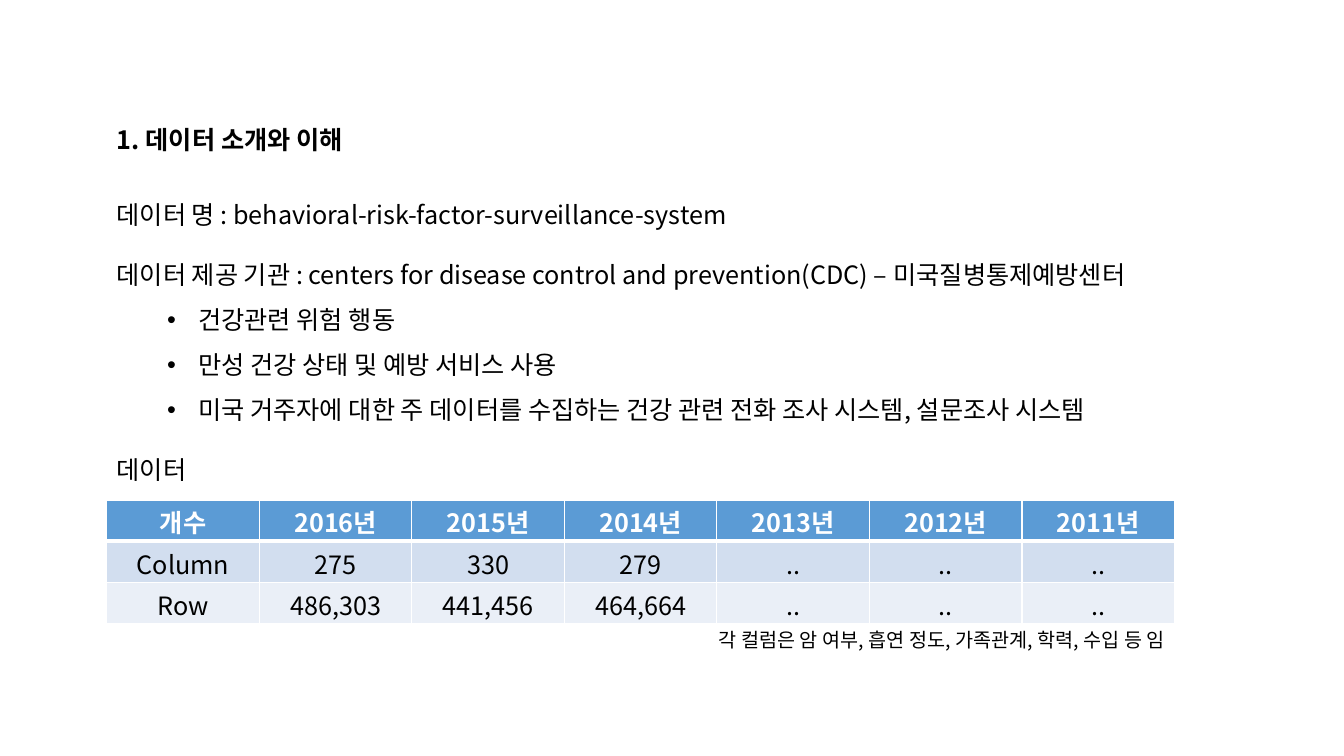
from lxml import etree
from pptx import Presentation
from pptx.dml.color import RGBColor
from pptx.enum.text import MSO_ANCHOR, MSO_AUTO_SIZE, PP_ALIGN
from pptx.oxml.ns import qn
from pptx.util import Inches, Pt

LEFT, CENTER, RIGHT = PP_ALIGN.LEFT, PP_ALIGN.CENTER, PP_ALIGN.RIGHT
TOP = MSO_ANCHOR.TOP
NO_AUTOFIT = MSO_AUTO_SIZE.NONE

FONT = "Noto Sans CJK KR"
BLACK, WHITE = "000000", "FFFFFF"
ROW_FILLS = ["5B9BD5", "D2DEEF", "EAEFF7"]
MARGIN_LEFT = 1.06
TABLE_WIDTH = 10.59
ROW_HEIGHT = 0.41
LINE_RATIO = 1.19

BODY = [
    ("데이터 명 : behavioral-risk-factor-surveillance-system", False),
    ("데이터 제공 기관 : centers for disease control and prevention(CDC) – 미국질병통제예방센터", False),
    ("건강관련 위험 행동", True),
    ("만성 건강 상태 및 예방 서비스 사용", True),
    ("미국 거주자에 대한 주 데이터를 수집하는 건강 관련 전화 조사 시스템, 설문조사 시스템", True),
    ("데이터", False),
]
COUNTS = [
    ["개수"] + [f"{year}년" for year in range(2016, 2010, -1)],
    ["Column", "275", "330", "279"] + [".."] * 3,
    ["Row", "486,303", "441,456", "464,664"] + [".."] * 3,
]


def color(value):
    return RGBColor.from_string(value)


def apply(target, values):
    for name, value in values.items():
        setattr(target, name, value)


class SlideBuilder:
    def __init__(self, presentation):
        self.slide = presentation.slides.add_slide(presentation.slide_layouts[5])

    def add_text(self, paragraph, text, size=18, bold=False, fill=BLACK, align=LEFT,
                 spacing=1, before=0):
        line_height = size * LINE_RATIO
        apply(paragraph, {
            "alignment": align,
            "line_spacing": Pt(line_height * spacing),
            "space_before": Pt(line_height * before),
            "space_after": Pt(0),
        })
        run = paragraph.add_run()
        run.text = text
        apply(run.font, {"size": Pt(size), "bold": bold, "name": FONT})
        run.font.color.rgb = color(fill)
        etree.SubElement(run._r.get_or_add_rPr(), qn("a:ea"), typeface=FONT)

    def place(self, shape, top, width, height):
        apply(shape, {
            "left": Inches(MARGIN_LEFT),
            "top": Inches(top),
            "width": Inches(width),
            "height": Inches(height),
        })
        apply(shape.text_frame, {
            "word_wrap": True,
            "auto_size": NO_AUTOFIT,
            "vertical_anchor": TOP,
            "margin_left": Inches(0.1),
            "margin_right": Inches(0.1),
            "margin_top": Inches(0.05),
            "margin_bottom": Inches(0.05),
        })
        return shape.text_frame

    def title(self, text, top, width, height):
        frame = self.place(self.slide.shapes.title, top, width, height)
        self.add_text(frame.paragraphs[0], text, bold=True)

    def text_box(self, top, width, height):
        shape = self.slide.shapes.add_textbox(0, 0, 0, 0)
        return self.place(shape, top, width, height)

    def caption(self, text, top, width, height):
        frame = self.text_box(top, width, height)
        self.add_text(frame.paragraphs[0], text, size=14, align=RIGHT)

    def body(self, lines, top, width, height):
        frame = self.text_box(top, width, height)
        for index, (text, bulleted) in enumerate(lines):
            paragraph = frame.add_paragraph() if index else frame.paragraphs[0]
            if bulleted:
                self.bullet(paragraph)
                self.add_text(paragraph, text, spacing=1.5)
            else:
                self.add_text(paragraph, text, before=1 if index else 0)

    def bullet(self, paragraph):
        properties = paragraph._p.get_or_add_pPr()
        properties.set("lvl", "1")
        properties.set("marL", str(Inches(0.81)))
        properties.set("indent", str(Inches(-0.31)))
        etree.SubElement(properties, qn("a:buFont"), typeface="Arial")
        etree.SubElement(properties, qn("a:buChar"), char="•")

    def borders(self, cell, widths):
        properties = cell._tc.get_or_add_tcPr()
        for position, (side, width) in enumerate(widths.items()):
            line = etree.Element(qn(f"a:ln{side}"), w=str(Pt(width)))
            fill = etree.SubElement(line, qn("a:solidFill"))
            etree.SubElement(fill, qn("a:srgbClr"), val=WHITE)
            properties.insert(position, line)

    def table(self, rows, top):
        table = self.slide.shapes.add_table(
            len(rows), len(rows[0]), Inches(MARGIN_LEFT), Inches(top),
            Inches(TABLE_WIDTH), Inches(ROW_HEIGHT * len(rows))).table
        for row_index, values in enumerate(rows):
            table.rows[row_index].height = Inches(ROW_HEIGHT)
            header = row_index == 0
            widths = {"L": 1, "R": 1, "T": 3 if row_index == 1 else 1, "B": 3 if header else 1}
            for column_index, value in enumerate(values):
                cell = table.cell(row_index, column_index)
                apply(cell, {
                    "margin_top": Inches(0.1),
                    "margin_bottom": Inches(0),
                    "vertical_anchor": TOP,
                })
                cell.fill.solid()
                cell.fill.fore_color.rgb = color(ROW_FILLS[row_index])
                self.borders(cell, widths)
                self.add_text(cell.text_frame.paragraphs[0], value, bold=header,
                              fill=WHITE if header else BLACK, align=CENTER)


def main():
    presentation = Presentation()
    apply(presentation, {"slide_width": Inches(13.33), "slide_height": Inches(7.5)})
    builder = SlideBuilder(presentation)
    builder.title("1. 데이터 소개와 이해", 1.19, 5.99, 0.4)
    builder.body(BODY, 1.93, 11.46, 2.98)
    builder.table(COUNTS, 4.96)
    builder.caption("각 컬럼은 암 여부, 흡연 정도, 가족관계, 학력, 수입 등 임", 6.18, TABLE_WIDTH, 0.34)
    presentation.save("out.pptx")


if __name__ == "__main__":
    main()
